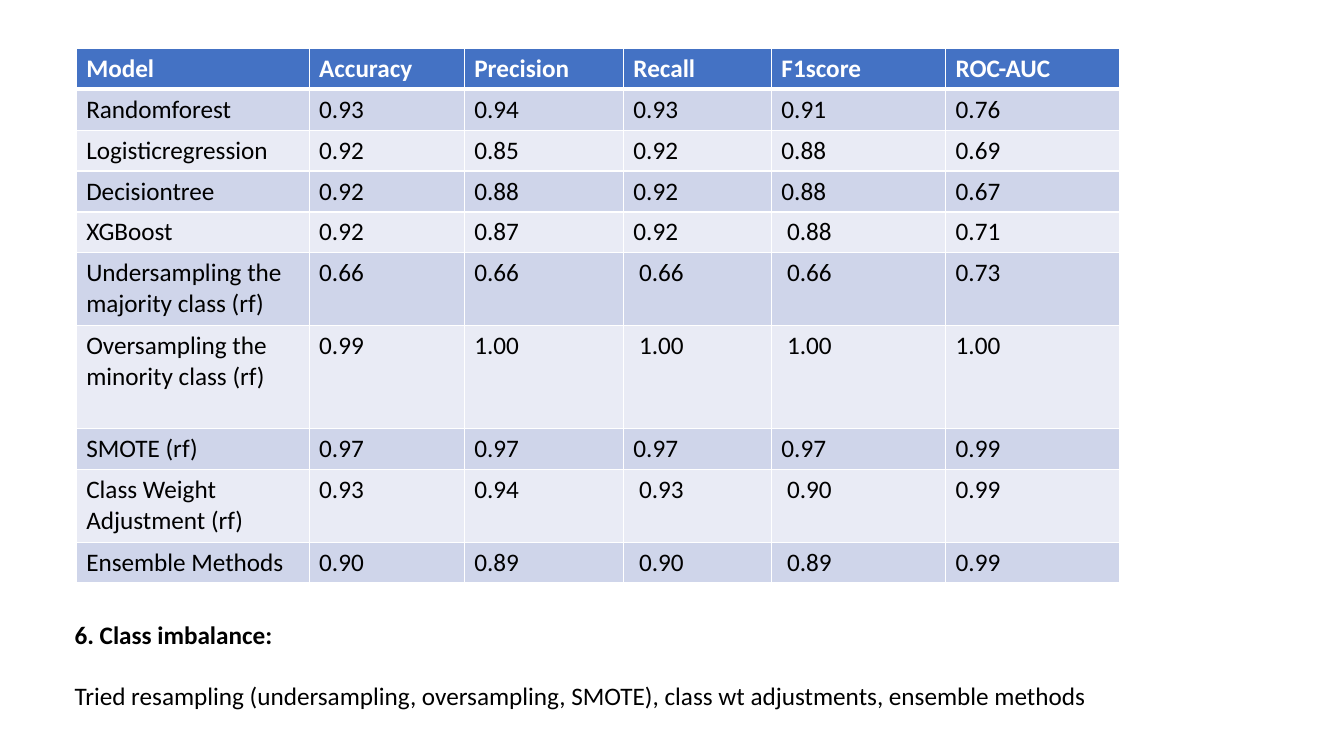
from lxml import etree
from pptx import Presentation
from pptx.dml.color import RGBColor
from pptx.enum import text
from pptx.oxml import ns
from pptx.util import Cm, Pt

COLORS = {
    "header": "4472C4",
    "band_dark": "CFD5EA",
    "band_light": "E9EBF5",
    "border": "FFFFFF",
    "header_text": "FFFFFF",
    "body_text": "000000",
}

METRICS = [
    ["Model", "Accuracy", "Precision", "Recall", "F1score", "ROC-AUC"],
    ["Randomforest", "0.93", "0.94", "0.93", "0.91", "0.76"],
    ["Logisticregression", "0.92", "0.85", "0.92", "0.88", "0.69"],
    ["Decisiontree", "0.92", "0.88", "0.92", "0.88", "0.67"],
    ["XGBoost", "0.92", "0.87", "0.92", " 0.88", "0.71"],
    ["Undersampling the majority class (rf)", "0.66", "0.66", " 0.66", " 0.66", "0.73"],
    ["Oversampling the minority class (rf)", "0.99", "1.00", " 1.00", " 1.00", "1.00"],
    ["SMOTE (rf)", "0.97", "0.97", "0.97", "0.97", "0.99"],
    ["Class Weight Adjustment (rf)", "0.93", "0.94", " 0.93", " 0.90", "0.99"],
    ["Ensemble Methods", "0.90", "0.89", " 0.90", " 0.89", "0.99"],
]
COL_WIDTHS = [5.87, 3.91, 4.01, 3.73, 4.39, 4.39]
ROW_HEIGHT = 1.03
TALL_ROWS = {5: 1.83, 6: 2.6, 8: 1.83}


class SlideBuilder:
    font = "Calibri"
    size = Pt(18)

    def __init__(self, slide):
        self.slide = slide

    def run(self, p, content, color, bold=False):
        r = p.add_run()
        r.text = content
        r.font.name, r.font.size, r.font.bold = self.font, self.size, bold
        r.font.color.rgb = RGBColor.from_string(COLORS[color])

    def borders(self, cell, **widths):
        """Draw cell borders; widths in points, keyed L, R, T, B in that order."""
        tc_pr = cell._tc.get_or_add_tcPr()
        for side, width in widths.items():
            ln = etree.SubElement(tc_pr, ns.qn(f"a:ln{side}"), w=str(Pt(width)))
            fill = etree.SubElement(ln, ns.qn("a:solidFill"))
            etree.SubElement(fill, ns.qn("a:srgbClr"), val=COLORS["border"])

    def table(self, left, top, rows, widths, heights):
        frame = self.slide.shapes.add_table(
            len(rows), len(widths), Cm(left), Cm(top), Cm(sum(widths)), Cm(sum(heights)))
        table = frame.table
        for column, width in zip(table.columns, widths):
            column.width = Cm(width)
        for i, (values, height) in enumerate(zip(rows, heights)):
            table.rows[i].height = Cm(height)
            band = "header" if i == 0 else "band_dark" if i % 2 else "band_light"
            for j, value in enumerate(values):
                cell = table.cell(i, j)
                self.borders(cell, L=1, R=1, T=3 if i == 1 else 1, B=3 if i == 0 else 1)
                cell.fill.solid()
                cell.fill.fore_color.rgb = RGBColor.from_string(COLORS[band])
                color = "header_text" if i == 0 else "body_text"
                self.run(cell.text_frame.paragraphs[0], value, color, bold=i == 0)

    def note(self, left, top, width, height, heading, body):
        sp = self.slide.shapes.add_textbox(Cm(left), Cm(top), Cm(width), Cm(height))
        tf = sp.text_frame
        tf.word_wrap = True
        tf.auto_size = text.MSO_AUTO_SIZE.SHAPE_TO_FIT_TEXT
        p = tf.paragraphs[0]
        p.space_after = Pt(22)
        self.run(p, heading, "body_text", bold=True)
        self.run(tf.add_paragraph(), body, "body_text")


def main():
    prs = Presentation()
    prs.slide_width, prs.slide_height = Cm(33.87), Cm(19.05)
    s = SlideBuilder(prs.slides.add_slide(prs.slide_layouts[6]))
    heights = [TALL_ROWS.get(i, ROW_HEIGHT) for i in range(len(METRICS))]
    s.table(1.92, 1.22, METRICS, COL_WIDTHS, heights)
    s.note(1.63, 15.47, 26.6, 2.57, "6. Class imbalance:",
           "Tried resampling (undersampling, oversampling, SMOTE), "
           "class wt adjustments, ensemble methods")
    prs.save("out.pptx")


if __name__ == "__main__":
    main()
